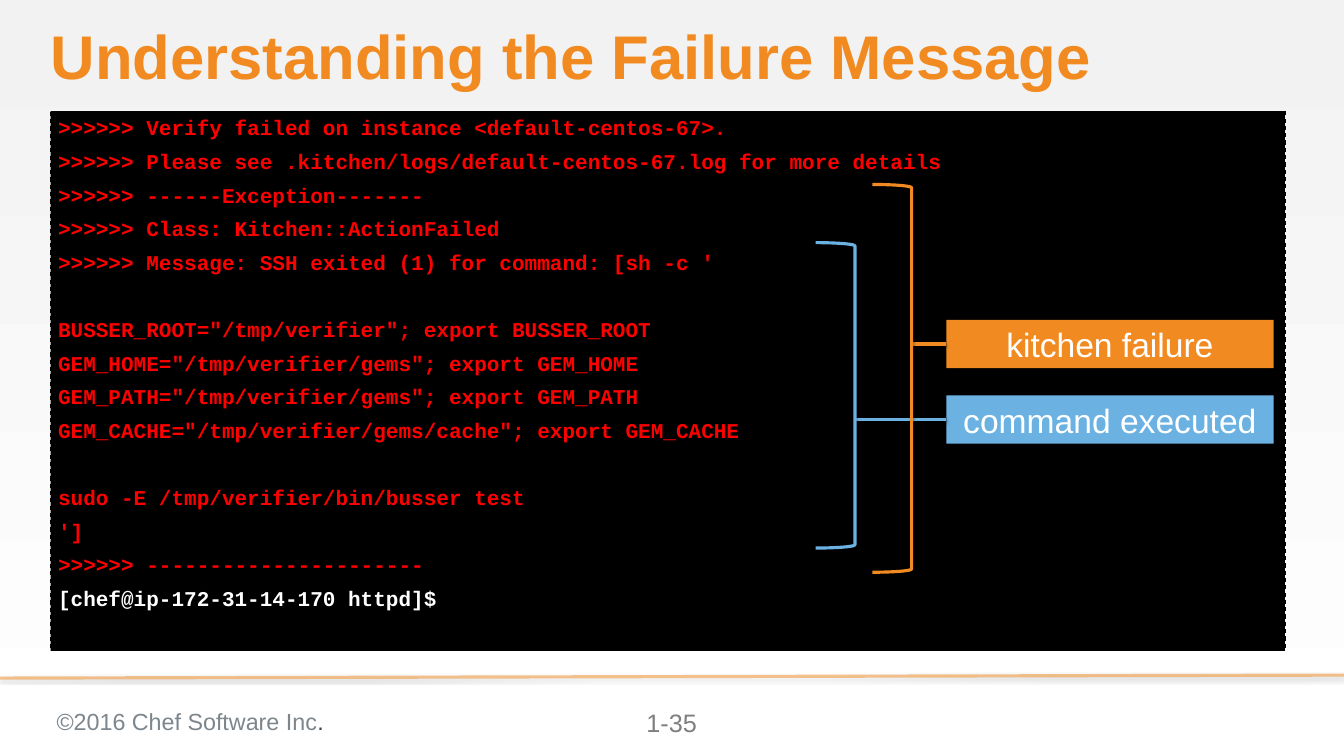
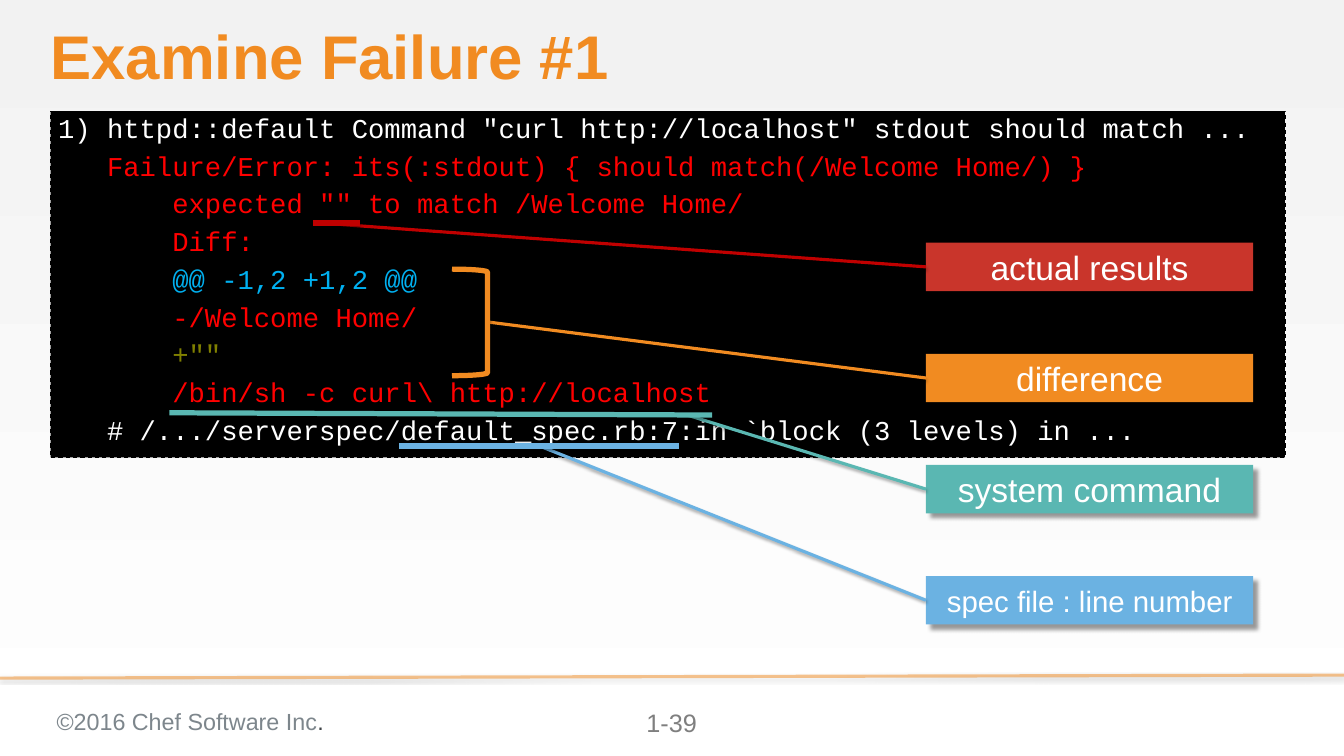
"""Build two slides that explain the failure output of a test run."""
from dataclasses import dataclass

from pptx import Presentation
from pptx.dml.color import RGBColor as RGB
from pptx.enum.dml import MSO_LINE as Dash
from pptx.enum.shapes import MSO_CONNECTOR as Wire, MSO_SHAPE as Form
from pptx.enum.text import MSO_ANCHOR as Anchor, PP_ALIGN as Align
from pptx.oxml import parse_xml
from pptx.oxml.ns import nsdecls
from pptx.util import Inches, Pt


@dataclass(frozen=True)
class Theme:
    orange: str = "F18B21"
    blue: str = "6BB2E2"
    teal: str = "5AB7B2"
    brick: str = "C9352B"
    crimson: str = "C00000"
    red: str = "FF0000"
    sky: str = "00B0F0"
    olive: str = "808000"
    white: str = "FFFFFF"
    black: str = "000000"
    pale: str = "F2F2F2"
    slate: str = "7D868C"
    coal: str = "3E4346"
    gray: str = "7F7F7F"
    sans: str = "Arial"
    mono: str = "Courier New"
    title: float = 58.7
    label: float = 32
    small: float = 28
    note: float = 22.2
    page: float = 24
    gap: float = 8
    thin: float = 3
    thick: float = 5


T = Theme()
SOFT = (35, 3.1, 1.8, 90)
DEEP = (40, 4, 6, 45)


def write(shape, rows, font, pad=(0, 0), anchor=Anchor.TOP, align=Align.LEFT, space=None):
    """Fill a shape with rows, each a space before and a list of (text, colour) runs."""
    frame = shape.text_frame
    side, top = map(Inches, pad)
    look = dict(word_wrap=True, vertical_anchor=anchor, margin_left=side,
                margin_right=side, margin_top=top, margin_bottom=top)
    for key, value in look.items():
        setattr(frame, key, value)
    for i, (before, runs) in enumerate(rows):
        para = frame.add_paragraph() if i else frame.paragraphs[0]
        for key, value in dict(alignment=align, line_spacing=space, space_before=Pt(before)).items():
            setattr(para, key, value)
        for text, tint in runs:
            run = para.add_run()
            run.text = text
            for key, value in font.items():
                setattr(run.font, key, value)
            run.font.color.rgb = RGB.from_string(tint)


def ink(shape, tint, width, shade):
    """Set the outline and shadow of a shape or connector."""
    if width:
        shape.line.color.rgb = RGB.from_string(tint)
        shape.line.width = Pt(width)
    else:
        shape.line.fill.background()
    drop = ""
    if shade:
        alpha, blur, dist, turn = shade
        drop = (f'<a:outerShdw blurRad="{Pt(blur)}" dist="{Pt(dist)}" dir="{turn * 60000}" '
                f'rotWithShape="0"><a:srgbClr val="{T.black}">'
                f'<a:alpha val="{alpha * 1000}"/></a:srgbClr></a:outerShdw>')
    shape._element.spPr.append(parse_xml(f'<a:effectLst {nsdecls("a")}>{drop}</a:effectLst>'))


DECK = [
    dict(
        title="Understanding the Failure Message", page="1-35", tall=7.14,
        font=dict(name=T.mono, size=Pt(20), bold=True), space=None, blank=24,
        code=[
            (T.red, ">>>>>> Verify failed on instance <default-centos-67>."),
            (T.red, ">>>>>> Please see .kitchen/logs/default-centos-67.log for more details"),
            (T.red, ">>>>>> ------Exception-------"),
            (T.red, ">>>>>> Class: Kitchen::ActionFailed"),
            (T.red, ">>>>>> Message: SSH exited (1) for command: [sh -c '"),
            (T.red, ""),
            (T.red, 'BUSSER_ROOT="/tmp/verifier"; export BUSSER_ROOT'),
            (T.red, 'GEM_HOME="/tmp/verifier/gems"; export GEM_HOME'),
            (T.red, 'GEM_PATH="/tmp/verifier/gems"; export GEM_PATH'),
            (T.red, 'GEM_CACHE="/tmp/verifier/gems/cache"; export GEM_CACHE'),
            (T.red, ""),
            (T.red, "sudo -E /tmp/verifier/bin/busser test"),
            (T.red, "']"),
            (T.red, ">>>>>> ----------------------"),
            (T.white, "[chef@ip-172-31-14-170 httpd]$"),
        ],
        start=(12.52, 4.23), step=1,
        tags=[("kitchen failure", T.orange, T.label), ("command executed", T.blue, T.label)],
        wires=[
            (11.31, 5.55, 12.52, 5.55, T.blue, T.thin),
            (12.07, 4.55, 12.52, 4.55, T.orange, T.thin),
        ],
        hooks=[
            (10.79, 3.21, 0.52, 4.04, T.blue, T.thin),
            (11.54, 2.44, 0.52, 5.13, T.orange, T.thin),
        ],
    ),
    dict(
        title="Examine Failure #1", page="1-39", tall=4.58,
        font=dict(name=T.mono, size=Pt(25.9), bold=False), space=0.9, blank=28,
        code=[
            (T.white, '1) httpd::default Command "curl http://localhost" stdout should match ...'),
            (T.red, "   Failure/Error: its(:stdout) { should match(/Welcome Home/) }"),
            (T.red, '       expected "" to match /Welcome Home/'),
            (T.red, "       Diff:"),
            (T.sky, "       @@ -1,2 +1,2 @@"),
            (T.red, "       -/Welcome Home/"),
            (T.olive, '       +""'),
            (T.red, "       /bin/sh -c curl\\ http://localhost"),
            (T.white, "   # /.../serverspec/default_spec.rb:7:in `block (3 levels) in ..."),
        ],
        start=(12.25, 3.21), step=1.47,
        tags=[
            ("actual results", T.brick, T.label),
            ("difference", T.orange, T.label),
            ("system command", T.teal, T.label),
            ("spec file : line number", T.blue, T.small),
        ],
        wires=[
            (4.51, 2.97, 12.25, 3.53, T.crimson, T.thin),
            (6.46, 4.26, 12.25, 5, T.orange, T.thin),
            (9.09, 5.49, 12.25, 6.47, T.teal, T.thin),
            (7.14, 5.9, 12.25, 7.94, T.blue, T.thin),
            (4.14, 2.95, 4.76, 2.95, T.crimson, T.thick),
            (2.24, 5.46, 9.42, 5.49, T.teal, T.thick),
            (5.28, 5.9, 8.98, 5.9, T.blue, T.thick),
        ],
        hooks=[(5.98, 3.56, 0.47, 1.41, T.orange, T.thick)],
    ),
]

deck = Presentation()
deck.slide_width, deck.slide_height = Inches(17.78), Inches(10)

for page in DECK:
    slide = deck.slides.add_slide(deck.slide_layouts[6])
    shapes = slide.shapes
    back = slide.background.fill
    back.gradient()
    back.gradient_angle = 270
    for stop, tint in zip(back.gradient_stops, (T.pale, T.white)):
        stop.color.rgb = RGB.from_string(tint)

    rule = shapes.add_connector(Wire.STRAIGHT, *map(Inches, (17.78, 8.93, 0, 8.97)))
    ink(rule, T.orange, T.thin, SOFT)
    tone = rule._element.spPr.find(".//{*}ln//{*}srgbClr")
    tone.append(parse_xml(f'<a:alpha {nsdecls("a")} val="50000"/>'))

    foot = shapes.add_textbox(*map(Inches, (0.65, 9.25, 5.9, 0.52)))
    write(foot, [(0, [("©2016 Chef Software Inc", T.slate), (".", T.coal)])],
          dict(name=T.sans, size=Pt(T.note)), pad=(0.1, 0.1))
    count = shapes.add_textbox(*map(Inches, (8.1, 9.25, 1.57, 0.57)))
    write(count, [(0, [(page["page"], T.gray)])],
          dict(name=T.sans, size=Pt(T.page)), pad=(0.1, 0.1), align=Align.CENTER)
    head = shapes.add_textbox(*map(Inches, (0.67, 0.33, 16.33, 0.91)))
    write(head, [(0, [(page["title"], T.orange)])],
          dict(name=T.sans, size=Pt(T.title), bold=True), anchor=Anchor.MIDDLE, space=0.9)

    rows, before = [], 0
    for tint, text in page["code"]:
        if text:
            rows.append((before, [(text, tint)]))
            before = T.gap
        else:
            before += page["blank"] + T.gap
    panel = shapes.add_shape(Form.RECTANGLE, *map(Inches, (0.67, 1.47, 16.33, page["tall"])))
    panel.fill.solid()
    panel.fill.fore_color.rgb = RGB.from_string(T.black)
    ink(panel, T.black, 1, None)
    panel.line.dash_style = Dash.DASH
    write(panel, rows, page["font"], pad=(0.1, 0.05), space=page["space"])

    left, top = page["start"]
    for i, (text, tint, size) in enumerate(page["tags"]):
        spot = (left, top + i * page["step"], 4.33, 0.64)
        tag = shapes.add_shape(Form.RECTANGLE, *map(Inches, spot))
        tag.fill.solid()
        tag.fill.fore_color.rgb = RGB.from_string(tint)
        ink(tag, tint, 0, DEEP)
        write(tag, [(0, [(text, T.white)])], dict(name=T.sans, size=Pt(size)),
              anchor=Anchor.MIDDLE, align=Align.CENTER)

    for *ends, tint, width in page["wires"]:
        wire = shapes.add_connector(Wire.STRAIGHT, *map(Inches, ends))
        ink(wire, tint, width, SOFT)
    for *spot, tint, width in page["hooks"]:
        hook = shapes.add_shape(Form.RIGHT_BRACKET, *map(Inches, spot))
        hook.fill.background()
        ink(hook, tint, width, SOFT)

deck.save("out.pptx")
